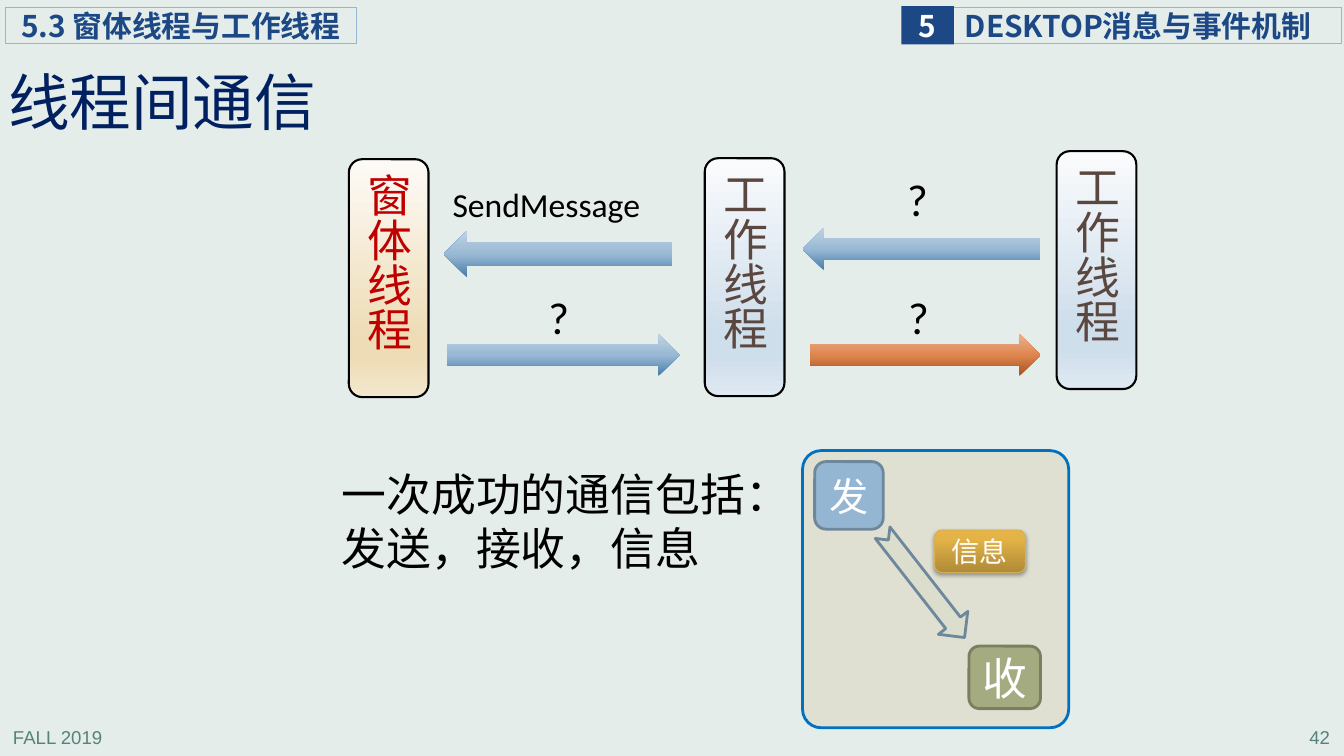
"""Build the slide on communication between threads."""
from dataclasses import dataclass
from typing import Optional, Union

from lxml import etree
from pptx import Presentation
from pptx.dml.color import RGBColor
from pptx.enum.shapes import MSO_SHAPE
from pptx.enum.text import MSO_ANCHOR, PP_ALIGN
from pptx.oxml.ns import nsdecls, qn
from pptx.util import Inches, Pt

RECTANGLE, ROUNDED = MSO_SHAPE.RECTANGLE, MSO_SHAPE.ROUNDED_RECTANGLE
LEFT_ARROW, RIGHT_ARROW = MSO_SHAPE.LEFT_ARROW, MSO_SHAPE.RIGHT_ARROW
NOTCHED_ARROW = MSO_SHAPE.NOTCHED_RIGHT_ARROW
LEFT, CENTER, RIGHT = PP_ALIGN.LEFT, PP_ALIGN.CENTER, PP_ALIGN.RIGHT
TOP, MIDDLE = MSO_ANCHOR.TOP, MSO_ANCHOR.MIDDLE
CJK, LATIN, FOOTER_FONT = "Noto Sans CJK SC", "Calibri", "Arial"
NAVY, PALE_BLUE, SLATE, WHITE = "1C4885", "94B6D2", "6D879B", "FFFFFF"
INSETS = (0.1, 0.05, 0.1, 0.05)


@dataclass(frozen=True)
class Gradient:
    """Describe a linear gradient with its stops and clockwise angle."""
    stops: tuple
    angle: int


@dataclass(frozen=True)
class Label:
    """Describe a line of text and how it sits in its frame."""
    text: str
    size: float
    color: str
    font: str = CJK
    bold: bool = False
    align: PP_ALIGN = CENTER
    anchor: MSO_ANCHOR = MIDDLE
    insets: tuple = INSETS
    wrap: bool = True
    vertical: bool = False
    spacing: Optional[float] = None


@dataclass(frozen=True)
class Block:
    """Describe a preset shape with its place, fill, outline and label."""
    kind: MSO_SHAPE
    box: tuple
    fill: Union[str, Gradient, None] = None
    line: Optional[str] = None
    width: float = 2
    label: Optional[Label] = None
    rotation: float = 0
    corner: Optional[float] = None
    alpha: Optional[int] = None
    shadow: bool = False


CREAM = Gradient(((0, "FDFBF7"), (74, "EDDCB6"), (83, "EDDCB6"), (100, "F3E8CE")), 90)
ICE = Gradient(((0, "FAFBFD"), (74, "CFDEEB"), (83, "CFDEEB"), (100, "DFE9F2")), 90)
BLUE = Gradient(((0, "477DA9"), (48, "97B8D3"), (100, "BFD3E4")), 270)
ORANGE = Gradient(((0, "A5521F"), (48, "DE844D"), (100, "EBB391")), 270)
GOLD = Gradient(((0, "AF8A37"), (80, "E3B347"), (100, "E7B544")), 270)


def thread_block(left: float, top: float, text: str, color: str, fill: Gradient) -> Block:
    """Return the upright box of one thread."""
    label = Label(text, 32, color, wrap=False, vertical=True)
    return Block(ROUNDED, (left, top, 0.79, 2.36), fill, "000000", 1.5, label)


def header_label(text: str, inset: float) -> Label:
    """Return the bold label of a header bar."""
    return Label(text, 21.3, NAVY, bold=True, align=LEFT, insets=(inset, 0, 0, 0), wrap=False)


BLOCKS = (
    Block(RECTANGLE, (9.45, 0.07, 3.86, 0.36), None, PALE_BLUE, 0.75,
          header_label("DESKTOP消息与事件机制", 0.12)),
    Block(RECTANGLE, (8.94, 0.06, 0.52, 0.38), NAVY,
          label=Label("5", 21.3, WHITE, bold=True, insets=(0, 0, 0, 0), wrap=False)),
    Block(RECTANGLE, (0.05, 0.07, 3.49, 0.36), None, PALE_BLUE, 0.75,
          header_label("5.3 窗体线程与工作线程", 0.16)),
    thread_block(3.46, 1.58, "窗体线程", "C00000", CREAM),
    thread_block(6.99, 1.57, "工作线程", "594740", ICE),
    thread_block(10.48, 1.5, "工作线程", "594740", ICE),
    Block(LEFT_ARROW, (4.4, 2.29, 2.27, 0.46), BLUE),
    Block(RIGHT_ARROW, (4.43, 3.31, 2.31, 0.42), BLUE),
    Block(RIGHT_ARROW, (8.03, 3.31, 2.29, 0.42), ORANGE),
    Block(LEFT_ARROW, (7.96, 2.26, 2.36, 0.42), BLUE),
    Block(ROUNDED, (7.96, 4.47, 2.64, 2.75), "BA8F2D", "0070C0", corner=0.07, alpha=13),
    Block(ROUNDED, (8.08, 4.58, 0.68, 0.67), PALE_BLUE, SLATE, label=Label("发", 28, WHITE)),
    Block(NOTCHED_ARROW, (8.5, 5.62, 1.32, 0.37), "DBDDCD", SLATE, rotation=52),
    Block(ROUNDED, (9.61, 6.41, 0.71, 0.62), "A5AB81", "7A7F5F", label=Label("收", 32, WHITE)),
    Block(ROUNDED, (9.27, 5.26, 0.9, 0.42), GOLD, "D6AF57", 0.75,
          Label("信息", 20, WHITE), shadow=True),
)
QUESTION = Label("?", 32, "000000", LATIN, align=LEFT, anchor=TOP, wrap=False)
TEXTS = (
    ((0.03, 7.16, 2.78, 0.31), Label("FALL 2019", 13.3, "578279", FOOTER_FONT, align=LEFT)),
    ((10.51, 7.16, 2.78, 0.31), Label("42", 13.3, "578279", FOOTER_FONT, align=RIGHT)),
    ((4.39, 1.78, 2.14, 0.5),
     Label("SendMessage", 24, "000000", LATIN, align=LEFT, anchor=TOP, wrap=False)),
    ((5.34, 2.83, 0.37, 0.64), QUESTION),
    ((8.91, 2.83, 0.37, 0.64), QUESTION),
    ((8.9, 1.65, 0.37, 0.64), QUESTION),
    ((3.29, 4.58, 4.22, 1.18),
     Label("一次成功的通信包括：发送，接收，信息", 32, "000000", align=LEFT, anchor=TOP)),
)
TITLE_BOX = (0, 0.59, 4.25, 0.91)
TITLE = Label("线程间通信", 44, "002060", align=LEFT, insets=(0.08, 0.04, 0.08, 0.04), spacing=0.9)


def rgb(color: str) -> RGBColor:
    """Turn a hex string into a colour."""
    return RGBColor.from_string(color)


def apply_format(target, values: dict) -> None:
    """Set each attribute named in the format values."""
    for name, value in values.items():
        setattr(target, name, value)


def write_label(shape, label: Label) -> None:
    """Write and format the label in the shape's text frame."""
    frame = shape.text_frame
    sides = ("margin_left", "margin_top", "margin_right", "margin_bottom")
    margins = {side: Inches(inset) for side, inset in zip(sides, label.insets)}
    apply_format(frame, {"word_wrap": label.wrap, "vertical_anchor": label.anchor, **margins})
    if label.vertical:
        frame._txBody.bodyPr.set("vert", "eaVert")
    paragraph = frame.paragraphs[0]
    apply_format(paragraph, {"alignment": label.align, "line_spacing": label.spacing})
    run = paragraph.add_run()
    run.text = label.text
    apply_format(run.font, {"name": label.font, "size": Pt(label.size), "bold": label.bold})
    run.font.color.rgb = rgb(label.color)
    properties = run._r.get_or_add_rPr()
    properties.set("lang", "zh-CN")
    east_asian = etree.Element(qn("a:ea"), typeface=label.font)
    properties.find(qn("a:latin")).addnext(east_asian)


def paint_gradient(shape, gradient: Gradient) -> None:
    """Fill the shape with a gradient of any number of stops."""
    stops = "".join(f'<a:gs pos="{place * 1000}"><a:srgbClr val="{color}"/></a:gs>'
                    for place, color in gradient.stops)
    fill = etree.fromstring(f'<a:gradFill {nsdecls("a")} rotWithShape="1"><a:gsLst>{stops}</a:gsLst>'
                            f'<a:lin ang="{gradient.angle * 60000}" scaled="0"/></a:gradFill>')
    properties = shape._element.spPr
    properties.replace(properties.find(qn("a:noFill")), fill)


def add_soft_shadow(shape) -> None:
    """Put a soft shadow below the shape."""
    shadow = etree.fromstring(
        f'<a:outerShdw {nsdecls("a")} blurRad="{Pt(3.1)}" dist="{Pt(1.8)}" dir="5400000" '
        'rotWithShape="0"><a:srgbClr val="000000"><a:alpha val="35000"/></a:srgbClr></a:outerShdw>')
    shape._element.spPr.find(qn("a:effectLst")).append(shadow)


def draw_block(slide, block: Block) -> None:
    """Draw one preset shape."""
    shape = slide.shapes.add_shape(block.kind, *map(Inches, block.box))
    shape.shadow.inherit = False
    shape.rotation = block.rotation
    if block.corner is not None:
        shape.adjustments[0] = block.corner
    if isinstance(block.fill, str):
        shape.fill.solid()
        shape.fill.fore_color.rgb = rgb(block.fill)
    else:
        shape.fill.background()
    if isinstance(block.fill, Gradient):
        paint_gradient(shape, block.fill)
    if block.alpha is not None:
        color = shape._element.spPr.find(qn("a:solidFill"))[0]
        etree.SubElement(color, qn("a:alpha"), val=str(block.alpha * 1000))
    if block.line:
        shape.line.color.rgb = rgb(block.line)
        shape.line.width = Pt(block.width)
    else:
        shape.line.fill.background()
    if block.shadow:
        add_soft_shadow(shape)
    if block.label:
        write_label(shape, block.label)


def main() -> None:
    """Build the slide and save it."""
    presentation = Presentation()
    apply_format(presentation, {"slide_width": Inches(13.33), "slide_height": Inches(7.5)})
    slide = presentation.slides.add_slide(presentation.slide_layouts[5])
    slide.background.fill.solid()
    slide.background.fill.fore_color.rgb = rgb("E5EDEB")
    title = slide.shapes.title
    apply_format(title, dict(zip(("left", "top", "width", "height"), map(Inches, TITLE_BOX))))
    write_label(title, TITLE)
    for block in BLOCKS:
        draw_block(slide, block)
    for box, label in TEXTS:
        write_label(slide.shapes.add_textbox(*map(Inches, box)), label)
    presentation.save("out.pptx")


if __name__ == "__main__":
    main()
